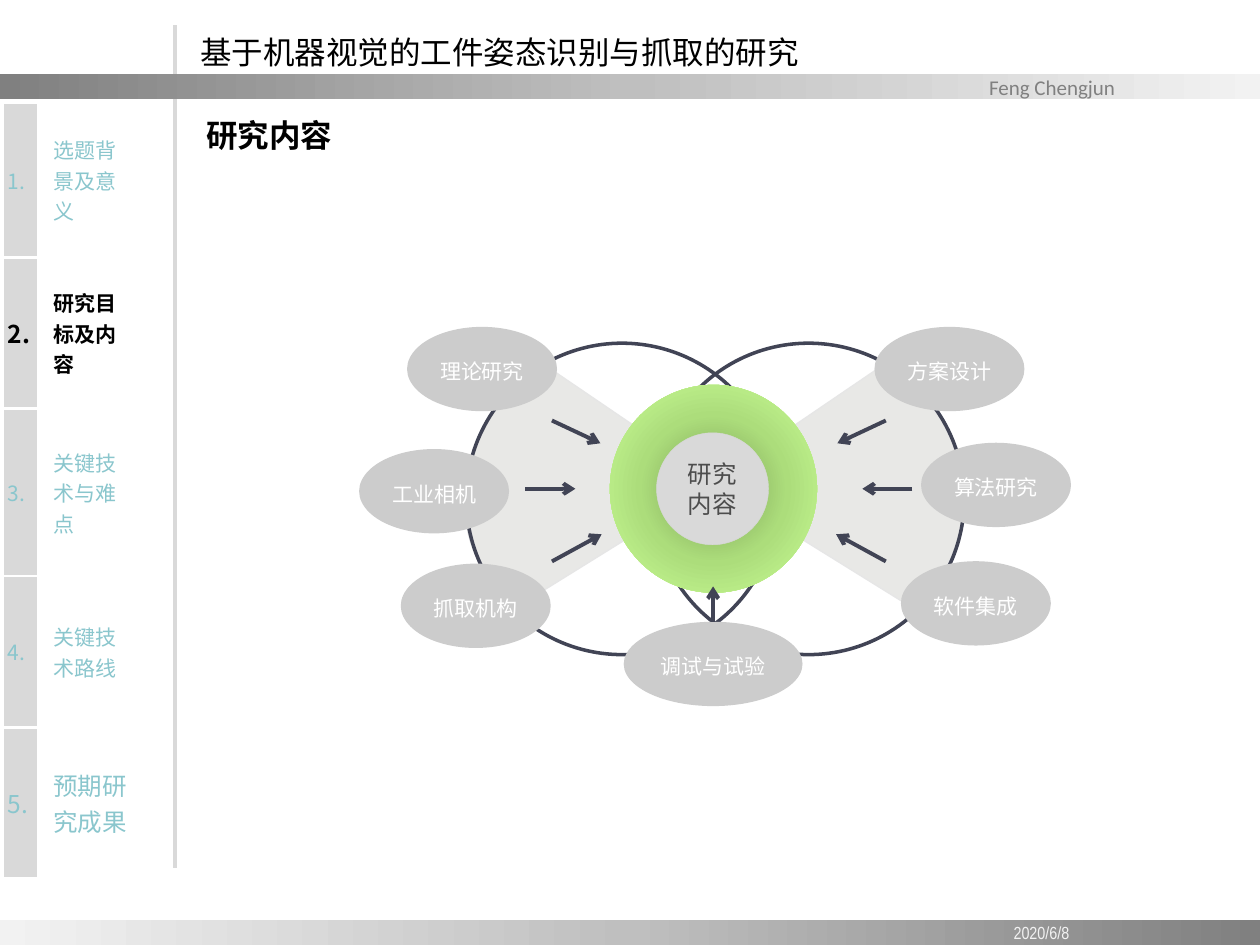
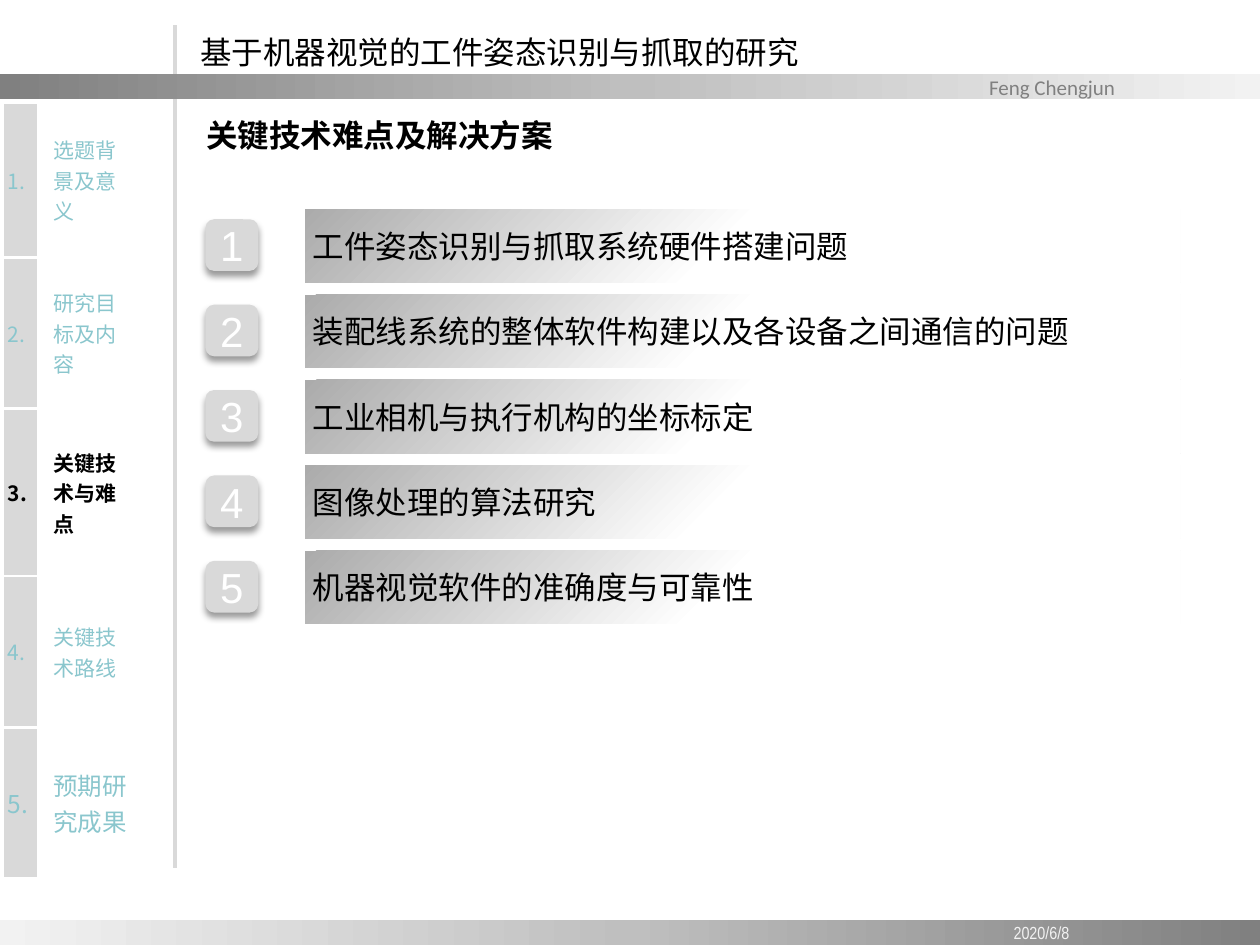
from lxml import etree
from pptx import Presentation, util as u
from pptx.dml.color import RGBColor
from pptx.enum import shapes as es, text as et
from pptx.oxml import parse_xml
from pptx.oxml.ns import qn

NS = 'xmlns:a="http://schemas.openxmlformats.org/drawingml/2006/main"'
PLAIN = "{2D5ABB26-0587-4C30-8999-92F81FD0307C}"  # table style without grid
CJK = "Noto Sans CJK SC"
INK, WHITE, PALE, TEAL, NAVY = "000000", "FFFFFF", "D9D9D9", "8AC6CD", "414455"
BAND = [(0, "808080"), (50, "BFBFBF"), (100, "F2F2F2")]
RING = [(0, "799C56"), (50, "ACDD7B"), (100, "CCFF99")]
FADE = [(0, "ABABAB"), (48, WHITE), (100, WHITE)]
LEFT, MID = et.PP_ALIGN.LEFT, et.PP_ALIGN.CENTER
RECT, OVAL, ROUND = (es.MSO_SHAPE.RECTANGLE, es.MSO_SHAPE.OVAL,
                     es.MSO_SHAPE.ROUNDED_RECTANGLE)

THEME = "基于机器视觉的工件姿态识别与抓取的研究"
STEPS = ["选题背景及意义", "研究目标及内容", "关键技术与难点", "关键技术路线", "预期研究成果"]
ISSUES = ["工件姿态识别与抓取系统硬件搭建问题",
          "装配线系统的整体软件构建以及各设备之间通信的问题",
          "工业相机与执行机构的坐标标定", "图像处理的算法研究",
          "机器视觉软件的准确度与可靠性"]
# Topics and arrows, as offsets from the hub centre
TOPICS = [("理论研究", -175.4, -92.5), ("工业相机", -202.8, -22.7),
          ("抓取机构", -179, 42.8), ("方案设计", 91.7, -92.5),
          ("算法研究", 118.3, -26.3), ("软件集成", 106.8, 41.4)]
ARROWS = [(95.4, -39, 67.7, -26), (110.5, 0, 82, 0), (95.4, 41.5, 67, 26)]


# Helpers
def tint(code):
    return RGBColor.from_string(code)


def put(obj, **vals):
    for name, val in vals.items():
        setattr(obj, name, val)


def pts(*vals):
    return [u.Pt(v) for v in vals]


def blend(shape, stops, tail):
    """Swap the solid fill for a gradient."""
    shape.fill.solid()
    old = shape.element.spPr.find(qn("a:solidFill"))
    marks = "".join(f'<a:gs pos="{pos * 1000}"><a:srgbClr val="{code}"/></a:gs>'
                    for pos, code in stops)
    new = parse_xml(f"<a:gradFill {NS}><a:gsLst>{marks}</a:gsLst>{tail}</a:gradFill>")
    old.getparent().replace(old, new)


def linear(ang):
    return f'<a:lin ang="{ang * 60000}" scaled="0"/>'


def paint(shape, fill=None, line=None, width=1):
    shape.shadow.inherit = False
    if fill:
        shape.fill.solid()
        shape.fill.fore_color.rgb = tint(fill)
    else:
        shape.fill.background()
    if line:
        shape.line.color.rgb = tint(line)
        shape.line.width = u.Pt(width)
    else:
        shape.line.fill.background()
    return shape


def draw(slide, kind, box, fill=None, line=None, width=1):
    return paint(slide.shapes.add_shape(kind, *pts(*box)), fill, line, width)


def write(frame, words, size, code, font=CJK, bold=False, align=LEFT, space=None):
    para = frame.paragraphs[0]
    put(para, alignment=align, line_spacing=space)
    run = para.add_run()
    run.text = words
    put(run.font, name=font, size=u.Pt(size), bold=bold)
    run.font.color.rgb = tint(code)
    etree.SubElement(run.font._element, qn("a:ea"), typeface=CJK)


def inset(obj, left, top, right=None, bottom=None):
    put(obj, margin_left=u.Pt(left), margin_top=u.Pt(top),
        margin_right=u.Pt(left if right is None else right),
        margin_bottom=u.Pt(top if bottom is None else bottom),
        vertical_anchor=et.MSO_ANCHOR.MIDDLE)


def link(slide, ends, code, width, arrow=False):
    line = slide.shapes.add_connector(es.MSO_CONNECTOR.STRAIGHT, *pts(*ends))
    line.line.color.rgb = tint(code)
    line.line.width = u.Pt(width)
    props = line.element.spPr
    if arrow:
        etree.SubElement(props.find(qn("a:ln")), qn("a:tailEnd"), type="arrow")
    etree.SubElement(props, qn("a:effectLst"))


# Shared frame, kept on the layout
def frame(slide, layout):
    foot = draw(slide, RECT, (0, 525.6, 720, 14.4), PALE)
    blend(foot, BAND, linear(180))
    link(slide, (100.08, 14.4, 100.08, 496), PALE, 2)
    head = draw(slide, RECT, (0, 42.5, 720, 14.4), PALE)
    blend(head, BAND, linear(0))
    inset(head.text_frame, 565.2, 0, 0)
    write(head.text_frame, "Feng Chengjun", 12, "808080", "Calibri")
    for shape in list(slide.shapes):
        if not shape.is_placeholder:
            layout.shapes.element.append(shape.element)


# Title, heading and date
def titles(slide, heading, width):
    title = slide.shapes.title
    put(title, **dict(zip(("left", "top", "width", "height"),
                          pts(107.3, 8.6, 488, 42.5))))
    put(title.text_frame, auto_size=et.MSO_AUTO_SIZE.NONE,
        vertical_anchor=et.MSO_ANCHOR.MIDDLE)
    write(title.text_frame, THEME, 18, INK)
    date = slide.shapes.add_textbox(*pts(538.6, 525.6, 113, 14.4)).text_frame
    inset(date, 0, 0)
    write(date, "2020/6/8", 10, "F2F2F2", "Arial Narrow", align=MID)
    head = slide.shapes.add_textbox(*pts(110.9, 62.6, width, 29)).text_frame
    head.word_wrap = True
    write(head, heading, 18, INK, bold=True)


# Table of steps at the left
def steps(slide, box, now, big):
    """now is the current step, big the size of its number."""
    table = slide.shapes.add_table(len(STEPS), 3, *pts(*box)).table
    put(table, first_row=False, horz_banding=False)
    table._tbl.tblPr.find(qn("a:tableStyleId")).text = PLAIN
    for col, width in zip(table.columns, (20.2, 62.6, 33.1)):
        col.width = u.Pt(width)
    for row, high in zip(table.rows, (88.6, 86.4, 95.8, 86.4, 86.4)):
        row.height = u.Pt(high)
    for i, words in enumerate(STEPS):
        size = 14 if i == len(STEPS) - 1 else 12
        on = i == now
        code = INK if on else TEAL
        num, name = table.cell(i, 0), table.cell(i, 1)
        inset(num, 2.9, 0)
        inset(name, 8.64, 0)
        write(num.text_frame, f"{i + 1}.", big if on else size, code, bold=on)
        write(name.text_frame, words, size, code, bold=on)
        edge(num, "LRTB")
        edge(name, "L")
        num.fill.solid()
        num.fill.fore_color.rgb = tint(PALE)
        for j in (1, 2):
            table.cell(i, j).fill.background()


def edge(cell, sides):
    props = cell._tc.get_or_add_tcPr()
    for side in sides:
        props.append(parse_xml(
            f'<a:ln{side} {NS} w="19050"><a:solidFill><a:srgbClr val="{WHITE}"/>'
            f"</a:solidFill></a:ln{side}>"))


# Web of topics around a hub
def curve(a, b, c, d, count=12):
    for i in range(1, count + 1):
        t = i / count
        s = 1 - t
        yield tuple(s**3 * p + 3 * s * s * t * q + 3 * s * t * t * r + t**3 * v
                    for p, q, r, v in zip(a, b, c, d))


def fan(slide, mx, my, side):
    start, low, tip = (130, -39), (115, 69), (142.6, 4.3)
    dots = [start, *curve(start, (116, -58), (119, -57), (97, -71)),
            (-2, -3.6), low, *curve(low, (144, 34.6), (141, 22.3), tip),
            *curve(tip, (142, -10), (138, -26), start)]
    dots = [pts(mx + side * x, my + y) for x, y in dots]
    form = slide.shapes.build_freeform(*dots[0], scale=1.0)
    form.add_line_segments(dots[1:], close=True)
    paint(form.convert_to_shape(), "E8E8E6", "E6E6E6", 0.75)


def web(slide, box):
    left, top, width, high = box
    mx, my = left + width / 2, top + 0.43 * high
    for side in (1, -1):
        fan(slide, mx, my, side)
    for x in (-141.6, -35):
        draw(slide, OVAL, (mx + x, my - 83.2, 178, 178), line=NAVY, width=2)
    for side in (-1, 1):
        for x, y, tox, toy in ARROWS:
            axis = mx + 2.8
            link(slide, (axis + side * x, my + y, axis + side * tox, my + toy),
                 NAVY, 2.25, True)
    # Hub
    hub = draw(slide, OVAL, (mx - 59.5, my - 59.4, 118.4, 118.8), PALE)
    blend(hub, RING, '<a:path path="circle"><a:fillToRect l="50000" t="50000" '
                     'r="50000" b="50000"/></a:path>')
    core = draw(slide, OVAL, (mx - 32.8, my - 32, 64, 64), PALE, "D7D7D7", 0.25)
    inset(core.text_frame, 7.2, 3.6)
    write(core.text_frame, "研究内容", 14, "4D4D4D", "Arial Narrow", align=MID)
    # Topics
    for words, x, y, wide in [(*t, 85.7) for t in TOPICS] + [
            ("调试与试验", -51.6, 76, 102.2)]:
        node = draw(slide, OVAL, (mx + x, my + y, wide, 48.2), "CCCCCC")
        inset(node.text_frame, 4.3, 2.2)
        write(node.text_frame, words, 12, WHITE, "Arial", align=MID, space=1.2)
    link(slide, (mx - 0.5, my + 76, mx - 0.5, my + 55.8), NAVY, 2.25, True)


# Numbered list of issues
def issues(slide, box):
    left, top, width, high = box
    bar = 41.8
    pitch = (high - bar) / (len(ISSUES) - 1)
    for i, words in enumerate(ISSUES):
        y = top + i * pitch
        badge = draw(slide, ROUND, (left, y + 5.8, 30.2, 29.5), PALE)
        badge.element.spPr.find(qn("a:effectLst")).append(parse_xml(
            f'<a:outerShdw {NS} blurRad="50800" dist="38100" dir="5400000">'
            f'<a:srgbClr val="{INK}"><a:alpha val="40000"/></a:srgbClr></a:outerShdw>'))
        inset(badge.text_frame, 0, 0)
        write(badge.text_frame, str(i + 1), 24, WHITE, "Arial", align=MID)
        strip = draw(slide, RECT, (left + 56.9, y, width - 56.9, bar), WHITE)
        blend(strip, FADE, linear(45))
        inset(strip.text_frame, 4.3, 2.2)
        write(strip.text_frame, words, 18, INK)


def main():
    deck = Presentation()
    put(deck, slide_width=u.Pt(720), slide_height=u.Pt(540))
    layout = deck.slide_layouts[5]
    side = (1.6, 58.5, 115.9, 443.6)

    goals = deck.slides.add_slide(layout)
    frame(goals, layout)
    steps(goals, side, 1, 14)
    titles(goals, "研究内容", 158.4)
    web(goals, (204, 186, 408, 217))

    hurdles = deck.slides.add_slide(layout)
    steps(hurdles, side, 2, 12)
    titles(hurdles, "关键技术难点及解决方案", 217.4)
    issues(hurdles, (117.4, 119.5, 557.3, 237))
    deck.save("out.pptx")


if __name__ == "__main__":
    main()
